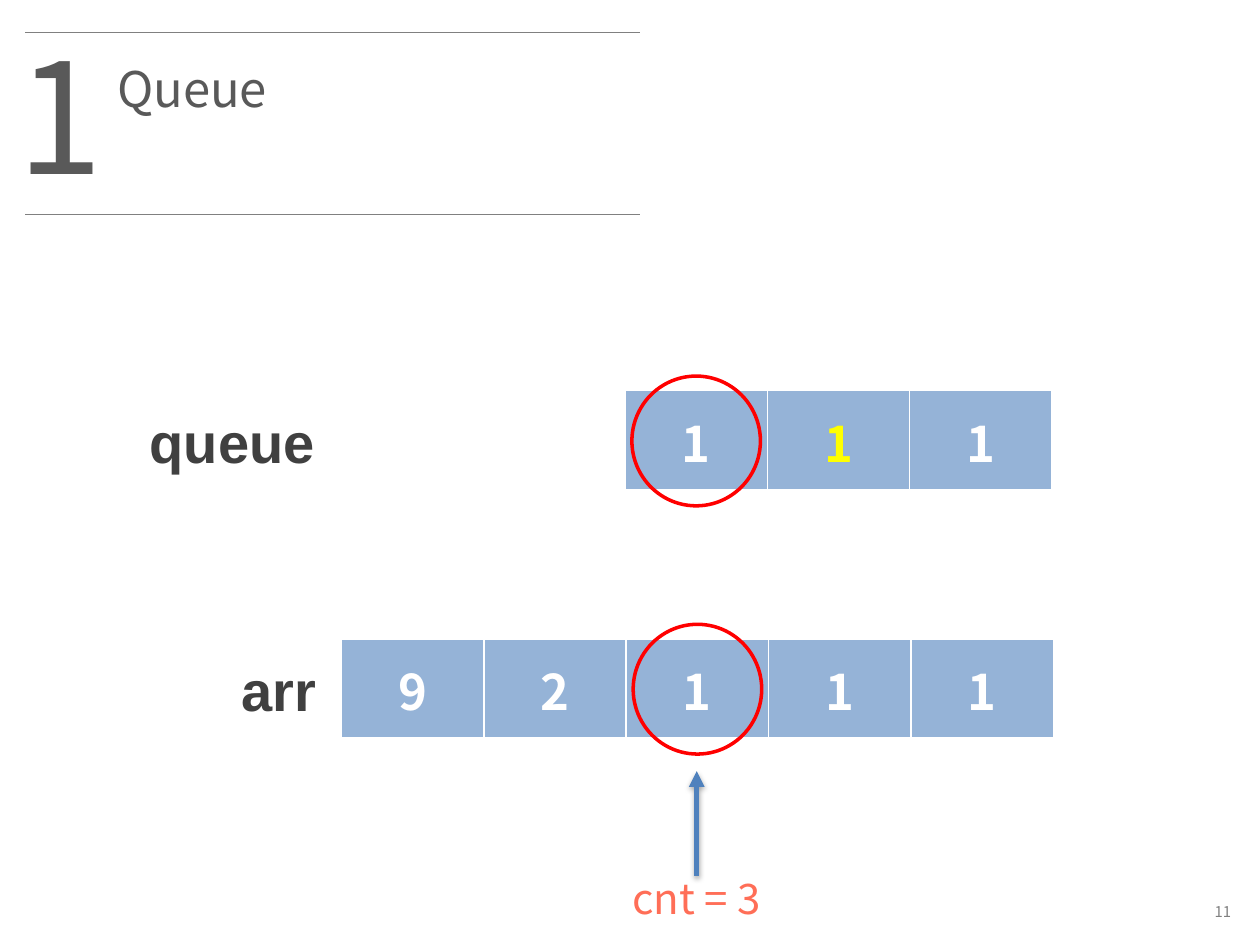
from lxml import etree
from pptx import Presentation
from pptx.dml.color import RGBColor
from pptx.enum.shapes import MSO_CONNECTOR, MSO_SHAPE
from pptx.enum.text import MSO_ANCHOR, MSO_AUTO_SIZE, PP_ALIGN
from pptx.oxml.ns import qn
from pptx.util import Inches, Pt

LEFT, CENTER, RIGHT = PP_ALIGN.LEFT, PP_ALIGN.CENTER, PP_ALIGN.RIGHT
MIDDLE = MSO_ANCHOR.MIDDLE
NO_FIT = MSO_AUTO_SIZE.NONE
STRAIGHT = MSO_CONNECTOR.STRAIGHT
OVAL = MSO_SHAPE.OVAL

WHITE = RGBColor(0xFF, 0xFF, 0xFF)
YELLOW = RGBColor(0xFF, 0xFF, 0x00)
RED = RGBColor(0xFF, 0x00, 0x00)
CORAL = RGBColor(0xFF, 0x6E, 0x57)
BLUE = RGBColor(0x4F, 0x81, 0xBD)
PALE = RGBColor(0x95, 0xB3, 0xD7)
GREY = RGBColor(0x80, 0x80, 0x80)
SLATE = RGBColor(0x59, 0x59, 0x59)
DARK = RGBColor(0x40, 0x40, 0x40)

SANS = "Noto Sans CJK KR"
ARIAL = "Arial"
TIGHT = 0.9
CELL_W, CELL_H = 1.13, 0.8
RING_W, RING_H = 1.02, 1.03


def write(frame, text, size, color, font=SANS, bold=False, align=LEFT, gap=1.0):
    frame.word_wrap = True
    para = frame.paragraphs[0]
    para.alignment = align
    para.line_spacing = gap
    run = para.add_run()
    run.text = text
    run.font.name = font
    run.font.size = Pt(size)
    run.font.bold = bold
    run.font.color.rgb = color


def add_text(slide, box, text, size, color, **style):
    frame = slide.shapes.add_textbox(*map(Inches, box)).text_frame
    frame.auto_size = NO_FIT
    frame.vertical_anchor = MIDDLE
    write(frame, text, size, color, **style)


def add_line(slide, start, end, color, width):
    """Draw a line and return it with its empty effect list."""
    line = slide.shapes.add_connector(STRAIGHT, *map(Inches, start + end))
    line.line.color.rgb = color
    line.line.width = Pt(width)
    effects = etree.SubElement(line._element.spPr, qn("a:effectLst"))
    return line, effects


def add_head(slide, box):
    left, top, width, height = box
    for y in (top, top + height):
        add_line(slide, (left, y), (left + width, y), GREY, 0.75)
    title = slide.shapes.title
    title.left, title.top = Inches(left + 0.63), Inches(top + 0.18)
    title.width, title.height = Inches(1.73), Inches(0.57)
    frame = title.text_frame
    frame.auto_size = NO_FIT
    frame.vertical_anchor = MIDDLE
    write(frame, "Queue", 28, SLATE, gap=TIGHT)
    add_text(slide, (left - 0.16, top - 0.06, 0.79, 1.58), "1", 88, SLATE, gap=TIGHT)


def set_border(cell):
    props = cell._tc.get_or_add_tcPr()
    for spot, (side, width) in enumerate((("L", 1), ("R", 1), ("T", 1), ("B", 3))):
        edge = etree.Element(qn("a:ln" + side), w=str(Pt(width)))
        fill = etree.SubElement(edge, qn("a:solidFill"))
        etree.SubElement(fill, qn("a:srgbClr"), val=str(WHITE))
        props.insert(spot, edge)


def add_cells(slide, left, top, items, marked=None):
    size = (CELL_W * len(items), CELL_H)
    table = slide.shapes.add_table(1, len(items), *map(Inches, (left, top) + size)).table
    table.horz_banding = False
    for col, item in enumerate(items):
        table.columns[col].width = Inches(CELL_W)
        cell = table.cell(0, col)
        cell.fill.solid()
        cell.fill.fore_color.rgb = PALE
        cell.vertical_anchor = MIDDLE
        color = YELLOW if col == marked else WHITE
        write(cell.text_frame, item, 28, color, bold=True, align=CENTER)
        set_border(cell)


def add_ring(slide, x, y):
    """Circle the point x, y."""
    box = (x - RING_W / 2, y - RING_H / 2, RING_W, RING_H)
    ring = slide.shapes.add_shape(OVAL, *map(Inches, box))
    ring.shadow.inherit = False
    ring.fill.background()
    ring.line.color.rgb = RED
    ring.line.width = Pt(2)


def add_row(slide, left, top, items, name, name_box, ringed, marked=None):
    """Place a named row of cells; name_box is the left and width of its name."""
    mid = top + CELL_H / 2
    add_cells(slide, left, top, items, marked)
    name_left, name_width = name_box
    add_text(slide, (name_left, mid - 0.32, name_width, 0.64), name, 32, DARK,
             font=ARIAL, bold=True)
    add_ring(slide, left + (ringed + 0.5) * CELL_W, mid)


def add_count(slide, x, top):
    """Point an arrow up to x, top from the count below it."""
    base = top + 0.83
    arrow, effects = add_line(slide, (x, base), (x, top), BLUE, 3)
    etree.SubElement(arrow.line._get_or_add_ln(), qn("a:tailEnd"), type="triangle")
    shade = etree.SubElement(effects, qn("a:outerShdw"), blurRad=str(Pt(3.1)),
                             dist=str(Pt(1.8)), dir="5400000", rotWithShape="0")
    tint = etree.SubElement(shade, qn("a:srgbClr"), val="000000")
    etree.SubElement(tint, qn("a:alpha"), val="35000")
    add_text(slide, (x - 0.98, base - 0.05, 1.96, 0.5), "cnt = 3", 24, CORAL,
             align=CENTER, gap=TIGHT)


def main():
    deck = Presentation()
    deck.slide_width, deck.slide_height = Inches(10), Inches(7.5)
    slide = deck.slides.add_slide(deck.slide_layouts[5])
    add_head(slide, (0.2, 0.26, 4.88, 1.44))
    add_row(slide, 4.96, 3.1, "111", "queue", (1.09, 1.62), ringed=0, marked=1)
    add_row(slide, 2.71, 5.07, "92111", "arr", (1.82, 1.02), ringed=2)
    add_count(slide, 5.53, 6.12)
    add_text(slide, (7.76, 7.1, 2.11, 0.27), "11", 8.5, GREY, align=RIGHT)
    deck.save("out.pptx")


if __name__ == "__main__":
    main()
